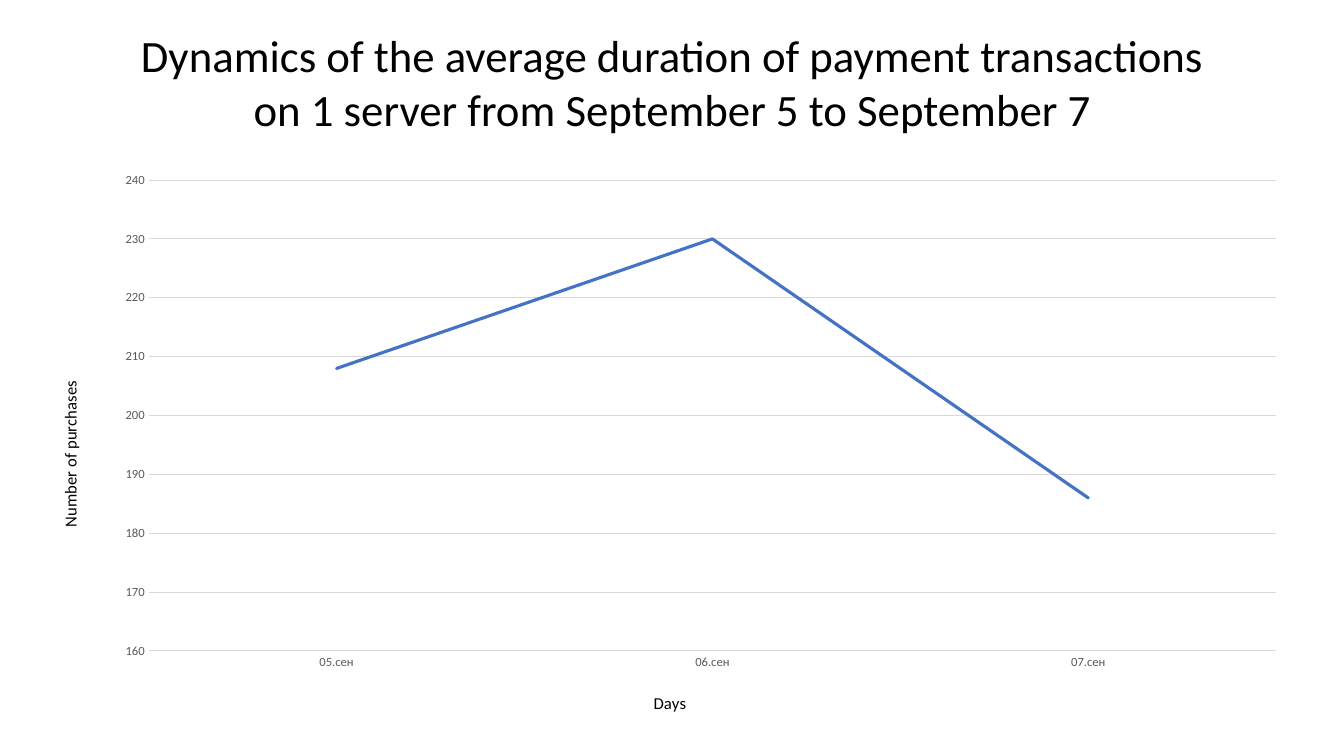
from lxml.etree import SubElement
from pptx import Presentation
from pptx.chart.data import CategoryChartData
from pptx.dml.color import RGBColor
from pptx.enum.chart import XL_CHART_TYPE, XL_MARKER_STYLE, XL_TICK_MARK
from pptx.enum.text import MSO_ANCHOR, PP_ALIGN
from pptx.oxml.ns import qn
from pptx.util import Inches, Pt

HEADING = ("Dynamics of the average duration of payment transactions "
           "on 1 server from September 5 to September 7")
DURATIONS = {"05.сен": 208, "06.сен": 230, "07.сен": 186}
DAYS_TITLE = {"text": "Days", "turn": 0, "place": {"x": 0.49, "y": 0.955}}
PURCHASES_TITLE = {"text": "Number of purchases", "turn": -5400000,
                   "place": {"x": 0.01, "y": 0.39}}
PLOT_PLACE = {"x": 0.085, "y": 0.027, "w": 0.91, "h": 0.859}
HEADING_BOX = (1.24, 0.23, 10.86, 1.18)
CHART_BOX = (0.43, 1.64, 12.29, 5.49)
FONT, BLACK, GREY, GRID, BLUE = "Calibri", "000000", "595959", "D9D9D9", "4472C4"


def color(value):
    return RGBColor.from_string(value)


def set_font(font, size, value):
    font.name, font.size, font.bold = FONT, Pt(size), False
    font.color.rgb = color(value)


def set_line(line, width, value):
    line.width = Pt(width)
    line.color.rgb = color(value)


def place_part(part, index, place, inner=False):
    for old in part.findall(qn("c:layout")):
        part.remove(old)
    layout = SubElement(part, qn("c:layout"))
    part.insert(index, layout)
    manual = SubElement(layout, qn("c:manualLayout"))
    if inner:
        SubElement(manual, qn("c:layoutTarget")).set("val", "inner")
    for side in "xy":
        SubElement(manual, qn(f"c:{side}Mode")).set("val", "edge")
    for side, share in place.items():
        SubElement(manual, qn(f"c:{side}")).set("val", str(share))


def style_axis(axis, title):
    axis.major_tick_mark = axis.minor_tick_mark = XL_TICK_MARK.NONE
    set_font(axis.tick_labels.font, 9, GREY)
    frame = axis.axis_title.text_frame
    run = frame.paragraphs[0].add_run()
    run.text = title["text"]
    set_font(run.font, 12, BLACK)
    element = axis.axis_title._element
    element.find(".//" + qn("a:bodyPr")).set("rot", str(title["turn"]))
    place_part(element, 1, title["place"])


def add_heading(slide):
    frame = slide.shapes.add_textbox(*map(Inches, HEADING_BOX)).text_frame
    frame.word_wrap = True
    frame.vertical_anchor = MSO_ANCHOR.TOP
    paragraph = frame.paragraphs[0]
    paragraph.alignment = PP_ALIGN.CENTER
    run = paragraph.add_run()
    run.text = HEADING
    set_font(run.font, 32, BLACK)


def add_duration_chart(slide):
    data = CategoryChartData(number_format="0")
    data.categories = list(DURATIONS)
    data.add_series("Series 1", list(DURATIONS.values()))
    chart = slide.shapes.add_chart(
        XL_CHART_TYPE.LINE, *map(Inches, CHART_BOX), data).chart
    chart.has_legend = chart.has_title = False
    set_font(chart.font, 10, BLACK)

    days, purchases = chart.category_axis, chart.value_axis
    style_axis(days, DAYS_TITLE)
    set_line(days.format.line, 0.75, GRID)
    style_axis(purchases, PURCHASES_TITLE)
    purchases.format.line.fill.background()
    purchases.minimum_scale, purchases.maximum_scale = 160, 240
    purchases.major_unit = 10
    purchases.tick_labels.number_format = "0"
    purchases.tick_labels.number_format_is_linked = False
    set_line(purchases.major_gridlines.format.line, 0.75, GRID)

    plot = chart.plots[0]
    plot.vary_by_categories = False
    duration = plot.series[0]
    duration.smooth = False
    duration.marker.style = XL_MARKER_STYLE.NONE
    set_line(duration.format.line, 2.25, BLUE)
    duration.format.line._get_or_add_ln().set("cap", "rnd")
    place_part(chart._chartSpace.find(".//" + qn("c:plotArea")), 0,
               PLOT_PLACE, inner=True)


def main():
    """Build the payment duration slide."""
    deck = Presentation()
    deck.slide_width, deck.slide_height = Inches(13.33), Inches(7.5)
    slide = deck.slides.add_slide(deck.slide_layouts[6])
    add_duration_chart(slide)
    add_heading(slide)
    deck.save("out.pptx")


if __name__ == "__main__":
    main()
